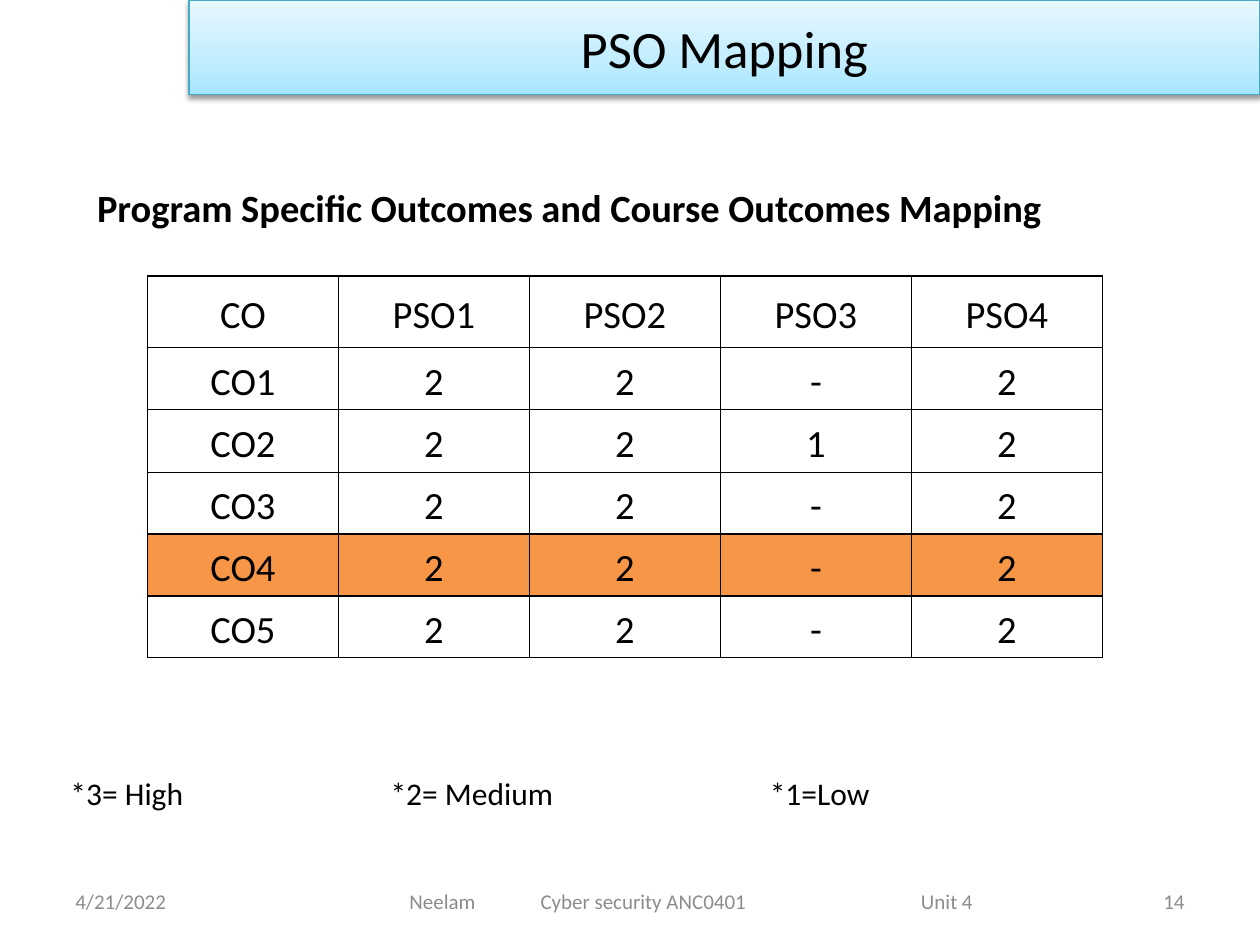
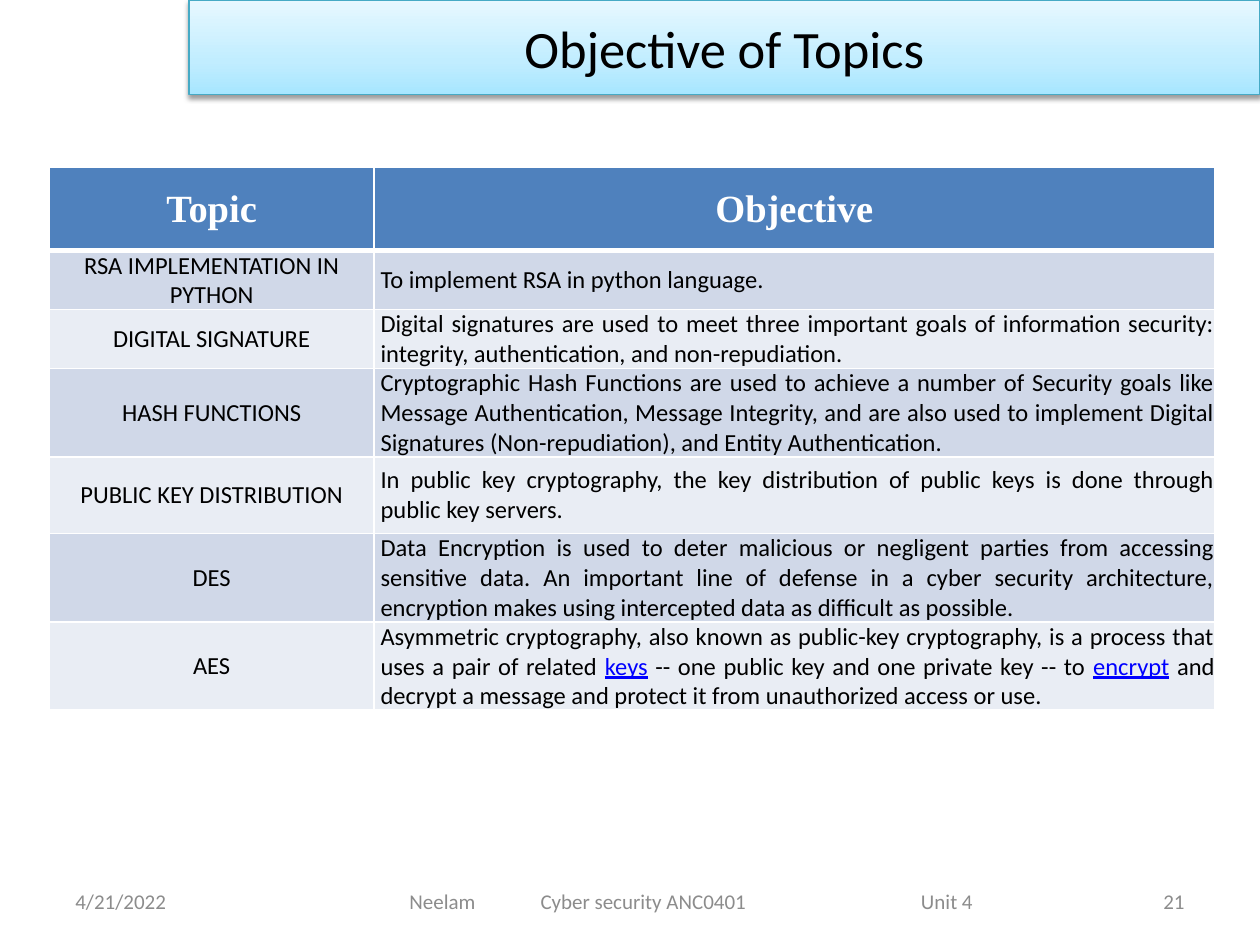
from dataclasses import dataclass

from lxml import etree
from pptx import Presentation
from pptx import util as u
from pptx.dml.color import RGBColor
from pptx.enum import shapes, text
from pptx.oxml import ns, parse_xml


@dataclass(frozen=True)
class Theme:
    black: str = "000000"
    white: str = "FFFFFF"
    grey: str = "8C8C8C"
    link: str = "0000FF"
    band_line: str = "46AAC5"
    band_stops: tuple = ((0, "A7E6FF"), (35, "C1EDFF"), (100, "E7F8FF"))
    highlight: str = "F79646"
    header: str = "4F81BD"
    stripes: tuple = ("D0D8E8", "E9EDF4")
    body_font: str = "Calibri"
    header_font: str = "Times New Roman"
    title_size: int = 30
    heading_size: int = 22
    legend_size: int = 18
    topic_size: int = 14
    footer_size: int = 12


theme = Theme()
LEFT, CENTER, RIGHT, JUSTIFY = (
    text.PP_ALIGN.LEFT, text.PP_ALIGN.CENTER, text.PP_ALIGN.RIGHT, text.PP_ALIGN.JUSTIFY)
MIDDLE = text.MSO_ANCHOR.MIDDLE
A = 'xmlns:a="http://schemas.openxmlformats.org/drawingml/2006/main"'


def write(frame, words, size, color=theme.black, align=LEFT, bold=False,
          font=theme.body_font, tabs=()):
    """Fill a frame with one paragraph; parts between bars look like links."""
    line = frame.paragraphs[0]
    line.alignment = align
    if tabs:
        stops = etree.SubElement(line._p.get_or_add_pPr(), ns.qn("a:tabLst"))
        for position in tabs:
            etree.SubElement(stops, ns.qn("a:tab"), pos=str(u.Inches(position)), algn="l")
    for index, part in enumerate(words.split("|")):
        run = line.add_run()
        run.text = part
        is_link = index % 2 == 1
        run.font.size = u.Pt(size)
        run.font.name = font
        run.font.bold = bold
        run.font.underline = is_link
        run.font.color.rgb = RGBColor.from_string(theme.link if is_link else color)
    return line


def style_cell(cell, fill, border, margins, top=1, bottom=1):
    """Set fill, margins and the four borders of a table cell."""
    cell.vertical_anchor = MIDDLE
    cell.margin_left, cell.margin_right = (u.Inches(m) for m in margins)
    cell.margin_top = cell.margin_bottom = 0
    cell.fill.solid()
    cell.fill.fore_color.rgb = RGBColor.from_string(fill)
    sides = (("L", 1), ("R", 1), ("T", top), ("B", bottom))
    for place, (side, width) in enumerate(sides):
        cell._tc.get_or_add_tcPr().insert(place, parse_xml(
            f'<a:ln{side} {A} w="{u.Pt(width)}"><a:solidFill><a:srgbClr val="{border}"/>'
            f'</a:solidFill></a:ln{side}>'))


prs = Presentation()
prs.slide_width, prs.slide_height = u.Inches(10), u.Inches(7.5)

# Title band and footer of every slide
slides = []
for title, number in (("PSO Mapping", "14"), ("Objective of Topics", "21")):
    slide = prs.slides.add_slide(prs.slide_layouts[6])
    slides.append(slide)

    band = slide.shapes.add_shape(
        shapes.MSO_SHAPE.RECTANGLE, u.Inches(1.5), 0, u.Inches(8.5), u.Inches(0.75))
    band.line.color.rgb = RGBColor.from_string(theme.band_line)
    band.line.width = u.Pt(0.75)
    band.shadow.inherit = False
    stops = "".join(f'<a:gs pos="{at * 1000}"><a:srgbClr val="{color}"/></a:gs>'
                    for at, color in theme.band_stops)
    band.line._ln.addprevious(parse_xml(
        f'<a:gradFill {A} rotWithShape="1"><a:gsLst>{stops}</a:gsLst>'
        '<a:lin ang="16200000" scaled="0"/></a:gradFill>'))
    band._element.spPr.find(ns.qn("a:effectLst")).append(parse_xml(
        f'<a:outerShdw {A} blurRad="{u.Pt(3.1)}" dist="{u.Pt(1.6)}" dir="5400000" '
        f'rotWithShape="0"><a:srgbClr val="{theme.black}"><a:alpha val="38000"/>'
        '</a:srgbClr></a:outerShdw>'))
    band.text_frame.vertical_anchor = MIDDLE
    write(band.text_frame, title, theme.title_size, align=CENTER)

    footers = (
        (0.5, 2.33, 0.1, "4/21/2022", LEFT, ()),
        (2.75, 5.5, 0.5, "Neelam\tCyber security ANC0401\tUnit 4", LEFT, (1.04, 4.06)),
        (7.17, 2.33, 0.1, number, RIGHT, ()),
    )
    for left, width, inset, words, align, tabs in footers:
        footer = slide.shapes.add_textbox(
            u.Inches(left), u.Inches(6.95), u.Inches(width), u.Inches(0.4)).text_frame
        footer.word_wrap = True
        footer.vertical_anchor = MIDDLE
        footer.margin_left = u.Inches(inset)
        write(footer, words, theme.footer_size, theme.grey, align, tabs=tabs)

mapping_slide, topics_slide = slides

# Heading and legend of the mapping
captions = (
    (0.47, 1.41, 8.52, 0.42, 0.3, 0,
     "Program Specific Outcomes and Course Outcomes Mapping", theme.heading_size, True, ()),
    (0, 6.09, 9.77, 0.4, 0.56, 0.05,
     "*3= High\t*2= Medium\t*1=Low", theme.legend_size, False, (2.54, 5.55)),
)
for left, top, width, height, inset, below, words, size, bold, tabs in captions:
    caption = mapping_slide.shapes.add_textbox(
        u.Inches(left), u.Inches(top), u.Inches(width), u.Inches(height)).text_frame
    caption.word_wrap = True
    caption.vertical_anchor = MIDDLE
    caption.margin_left, caption.margin_bottom = u.Inches(inset), u.Inches(below)
    write(caption, words, size, bold=bold, tabs=tabs)

# Mapping of course outcomes to program outcomes
mapping = (
    ("CO", "PSO1", "PSO2", "PSO3", "PSO4"),
    ("CO1", "2", "2", "-", "2"),
    ("CO2", "2", "2", "1", "2"),
    ("CO3", "2", "2", "-", "2"),
    ("CO4", "2", "2", "-", "2"),
    ("CO5", "2", "2", "-", "2"),
)
mapping_heights = (0.57, 0.49, 0.5, 0.49, 0.49, 0.49)
mapping_table = mapping_slide.shapes.add_table(
    len(mapping), len(mapping[0]), u.Inches(1.17), u.Inches(2.19),
    u.Inches(7.58), u.Inches(3.03)).table
mapping_table.first_row = mapping_table.horz_banding = False
for row, (outcomes, height) in enumerate(zip(mapping, mapping_heights)):
    mapping_table.rows[row].height = u.Inches(height)
    fill = theme.highlight if outcomes[0] == "CO4" else theme.white
    for column, level in enumerate(outcomes):
        cell = mapping_table.cell(row, column)
        style_cell(cell, fill, theme.black, (0.07, 0.07))
        line = write(cell.text_frame, level, theme.heading_size, align=CENTER)
        line.line_spacing = 1.15

# Topics and their objectives
topics = (
    (0.66, "Topic", "Objective"),
    (0.42, "RSA IMPLEMENTATION IN PYTHON", "To implement RSA in python language."),
    (0.42, "DIGITAL SIGNATURE",
     "Digital signatures are used to meet three important goals of information "
     "security: integrity, authentication, and non-repudiation."),
    (0.64, "HASH FUNCTIONS",
     "Cryptographic Hash Functions are used to achieve a number of Security goals like "
     "Message Authentication, Message Integrity, and are also used to implement Digital "
     "Signatures (Non-repudiation), and Entity Authentication."),
    (0.61, "PUBLIC KEY DISTRIBUTION",
     "In public key cryptography, the key distribution of public keys is done through "
     "public key servers."),
    (0.64, "DES",
     "Data Encryption is used to deter malicious or negligent parties from accessing "
     "sensitive data. An important line of defense in a cyber security architecture, "
     "encryption makes using intercepted data as difficult as possible."),
    (0.64, "AES",
     "Asymmetric cryptography, also known as public-key cryptography, is a process that "
     "uses a pair of related |keys| -- one public key and one private key -- to "
     "|encrypt| and decrypt a message and protect it from unauthorized access or use."),
)
topics_table = topics_slide.shapes.add_table(
    len(topics), 2, u.Inches(0.39), u.Inches(1.33), u.Inches(9.25), u.Inches(4.03)).table
topics_table.horz_banding = False
for column, width in enumerate((2.58, 6.67)):
    topics_table.columns[column].width = u.Inches(width)
for row, (height, *entries) in enumerate(topics):
    topics_table.rows[row].height = u.Inches(height)
    for column, entry in enumerate(entries):
        cell = topics_table.cell(row, column)
        if row == 0:
            style_cell(cell, theme.header, theme.white, (0, 0), bottom=3)
            write(cell.text_frame, entry, theme.heading_size, theme.white, CENTER,
                  bold=True, font=theme.header_font)
        else:
            style_cell(cell, theme.stripes[(row - 1) % 2], theme.white,
                       (0.05 * column, 0), top=3 if row == 1 else 1)
            write(cell.text_frame, entry, theme.topic_size,
                  align=JUSTIFY if column else CENTER)

prs.save("out.pptx")
